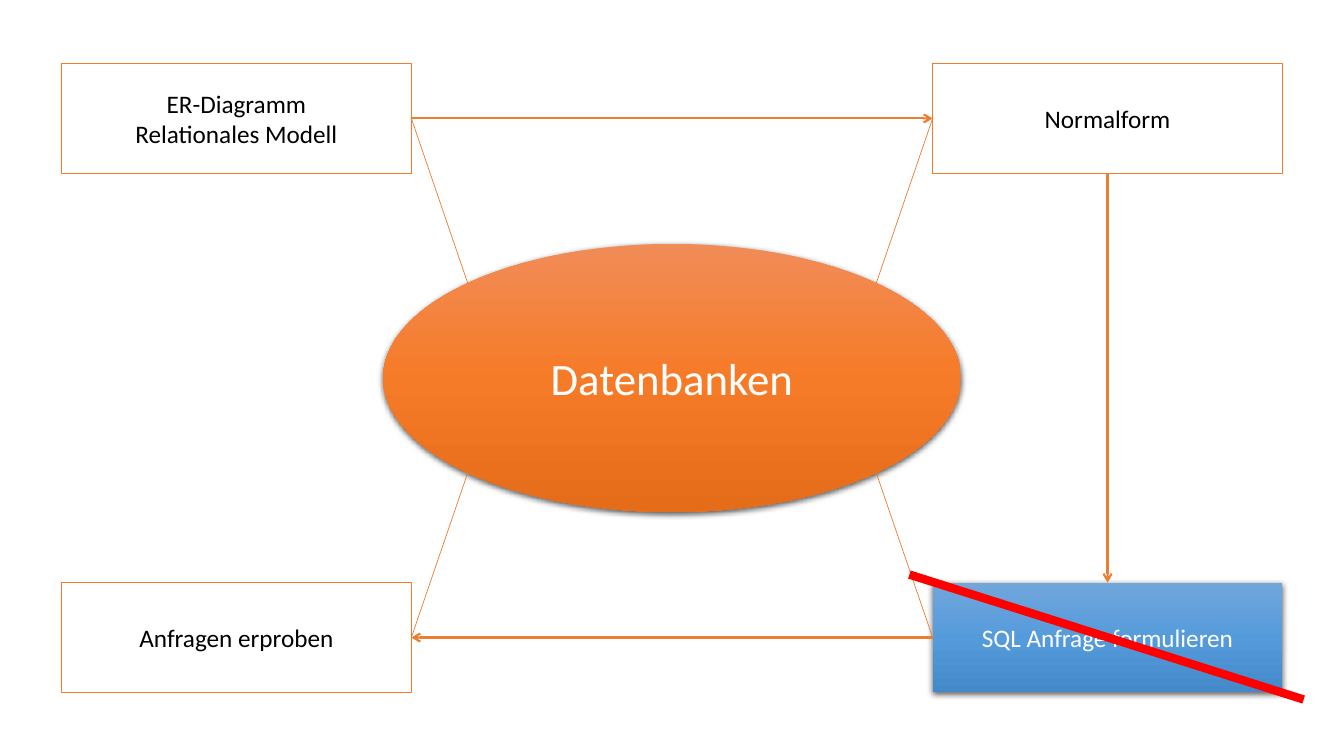
from math import cos, radians

from lxml.etree import SubElement
from pptx import Presentation
from pptx.dml.color import RGBColor
from pptx.enum.shapes import MSO_CONNECTOR, MSO_SHAPE
from pptx.enum.text import MSO_ANCHOR, PP_ALIGN
from pptx.oxml.ns import qn
from pptx.util import Inches, Pt

WIDTH, HEIGHT = 13.33, 7.5
ORANGE, RED, WHITE, BLACK = "ED7D31", "FF0000", "FFFFFF", "000000"
ORANGE_STOPS = ("F18C57", "F67B28", "E56C19")
BLUE_STOPS = ("71A6DB", "559BDB", "448ACA")
TOP, LEFT, BOTTOM, RIGHT = range(4)

# Station grid: two columns and two rows
COLUMNS, ROWS = (0.61, 9.25), (0.63, 5.78)
STATION_SIZE = (3.47, 1.09)
HUB_BOX = (3.8, 2.42, 5.73, 2.66)


def rgb(hex_color):
    return RGBColor.from_string(hex_color)


def set_all(target, values):
    for name, value in values.items():
        setattr(target, name, value)


def add_gradient(shape, stops):
    """Fill from top to bottom with evenly spaced stops."""
    shape.fill.gradient()
    shape.fill.gradient_angle = 270
    stop_list = shape._element.spPr.find(qn("a:gradFill")).find(qn("a:gsLst"))
    for old_stop in list(stop_list):
        stop_list.remove(old_stop)
    for i, color in enumerate(stops):
        stop = SubElement(stop_list, qn("a:gs"),
                          pos=str(100000 * i // (len(stops) - 1)))
        SubElement(stop, qn("a:srgbClr"), val=color)


def add_shadow(shape):
    effects = shape._element.spPr.find(qn("a:effectLst"))
    shadow = SubElement(effects, qn("a:outerShdw"), blurRad=str(Pt(4.5)),
                        dist=str(Pt(1.5)), dir="5400000", algn="ctr", rotWithShape="0")
    color = SubElement(shadow, qn("a:srgbClr"), val=BLACK)
    SubElement(color, qn("a:alpha"), val="63000")


def add_node(slide, kind, box, label, size, stops=None):
    """Labelled shape: shaded with a shadow, or white with an orange frame."""
    node = slide.shapes.add_shape(kind, *map(Inches, box))
    node.shadow.inherit = False
    if stops:
        add_gradient(node, stops)
        node.line.fill.background()
        add_shadow(node)
    else:
        node.fill.solid()
        node.fill.fore_color.rgb = rgb(WHITE)
        node.line.color.rgb = rgb(ORANGE)
        node.line.width = Pt(1)
    set_all(node.text_frame, {"word_wrap": True, "vertical_anchor": MSO_ANCHOR.MIDDLE})
    paragraph = node.text_frame.paragraphs[0]
    paragraph.text = label
    paragraph.alignment = PP_ALIGN.CENTER
    for run in paragraph.runs:
        set_all(run.font, {"name": "Calibri", "size": Pt(size)})
        run.font.color.rgb = rgb(WHITE if stops else BLACK)
    return node


def add_line(slide, start, end, color, width, arrow=False):
    """Straight line; each end is a point in inches or a (shape, side) pair."""
    joined = [not isinstance(tip[0], (int, float)) for tip in (start, end)]
    points = [(0, 0) if is_joined else tip
              for is_joined, tip in zip(joined, (start, end))]
    line = slide.shapes.add_connector(
        MSO_CONNECTOR.STRAIGHT, *(Inches(v) for point in points for v in point))
    if joined[0]:
        line.begin_connect(*start)
    if joined[1]:
        line.end_connect(*end)
    line.line.color.rgb = rgb(color)
    line.line.width = Pt(width)
    if arrow:
        SubElement(line.line._get_or_add_ln(), qn("a:tailEnd"), type="arrow")
    SubElement(line._element.spPr, qn("a:effectLst"))


def add_stations(slide):
    labels = {
        (0, 0): "ER-Diagramm\nRelationales Modell",
        (1, 0): "Normalform",
        (1, 1): "SQL Anfrage formulieren",
        (0, 1): "Anfragen erproben",
    }
    return {
        (col, row): add_node(slide, MSO_SHAPE.RECTANGLE,
                             (COLUMNS[col], ROWS[row], *STATION_SIZE), label, 18,
                             BLUE_STOPS if (col, row) == (1, 1) else None)
        for (col, row), label in labels.items()
    }


def add_spokes(slide, stations, hub_box):
    """Thin lines from each station to the diagonal points of the hub."""
    left, top, width, height = hub_box
    reach = cos(radians(45)) / 2
    for col, row in ((0, 0), (1, 0), (0, 1), (1, 1)):
        hub_point = (left + width * (0.5 + (2 * col - 1) * reach),
                     top + height * (0.5 + (2 * row - 1) * reach))
        side = LEFT if col else RIGHT
        add_line(slide, (stations[col, row], side), hub_point, ORANGE, 0.5)


def add_flow(slide, stations):
    """Arrows that lead through the stations clockwise."""
    flow = (((0, 0), RIGHT, (1, 0), LEFT),
            ((1, 0), BOTTOM, (1, 1), TOP),
            ((1, 1), LEFT, (0, 1), RIGHT))
    for source, exit_side, target, entry_side in flow:
        add_line(slide, (stations[source], exit_side), (stations[target], entry_side),
                 ORANGE, 1.5, arrow=True)


def main():
    presentation = Presentation()
    set_all(presentation, {"slide_width": Inches(WIDTH), "slide_height": Inches(HEIGHT)})
    slide = presentation.slides.add_slide(presentation.slide_layouts[6])
    slide.background.fill.solid()
    slide.background.fill.fore_color.rgb = rgb(WHITE)

    add_node(slide, MSO_SHAPE.OVAL, HUB_BOX, "Datenbanken", 32, ORANGE_STOPS)
    stations = add_stations(slide)
    add_spokes(slide, stations, HUB_BOX)
    add_flow(slide, stations)
    # Strike through the SQL station
    add_line(slide, (9.02, 5.7), (12.93, 6.94), RED, 6)
    presentation.save("out.pptx")


if __name__ == "__main__":
    main()
